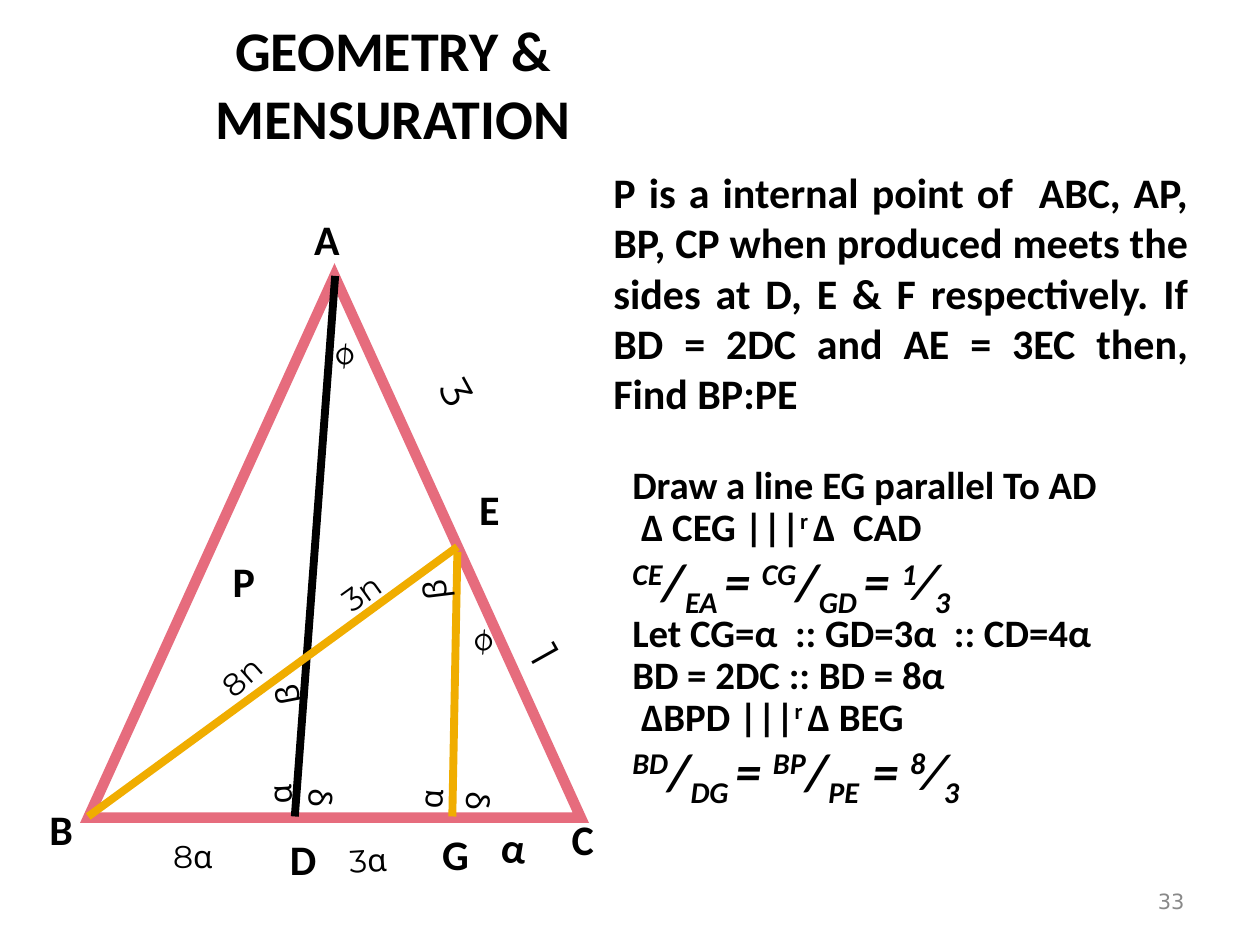
from lxml import etree
from pptx import Presentation
from pptx.dml.color import RGBColor
from pptx.enum.shapes import MSO_CONNECTOR, MSO_SHAPE
from pptx.enum.text import MSO_ANCHOR, PP_ALIGN
from pptx.oxml.ns import qn
from pptx.util import Inches, Pt

LINE, TRI = MSO_CONNECTOR.STRAIGHT, MSO_SHAPE.ISOSCELES_TRIANGLE
TOP, MID = MSO_ANCHOR.TOP, MSO_ANCHOR.MIDDLE
LEFT, MIDDLE = PP_ALIGN.LEFT, PP_ALIGN.CENTER
RIGHT, FULL = PP_ALIGN.RIGHT, PP_ALIGN.JUSTIFY

BLACK = RGBColor(0x00, 0x00, 0x00)
WHITE = RGBColor(0xFF, 0xFF, 0xFF)
GREY = RGBColor(0x89, 0x89, 0x89)
ROSE = RGBColor(0xE6, 0x6C, 0x7D)
GOLD = RGBColor(0xF0, 0xAD, 0x00)

COLS, ROWS = 100, 75
WIDE, HIGH = Inches(10), Inches(7.5)


class Board:
    """Holds the text style and the slide; lengths are grid columns and rows."""

    base = {"name": "Calibri", "size": 24, "bold": True, "italic": False,
            "color": BLACK}

    def __init__(self, deck):
        deck.slide_width, deck.slide_height = WIDE, HIGH
        self.slide = deck.slides.add_slide(deck.slide_layouts[6])

    def grid(self, *cells):
        units = (WIDE / COLS, HIGH / ROWS)
        return [round(cell * units[i % 2]) for i, cell in enumerate(cells)]

    def style(self, font, **over):
        look = {**self.base, **over}
        font.color.rgb = look.pop("color")
        look["size"] = Pt(look["size"])
        for key, value in look.items():
            setattr(font, key, value)

    def text(self, at, lines, align=MIDDLE, anchor=MID, turn=0, space=1.0,
             pad=1, **over):
        """Each line is a string, or a (parts, format) pair."""
        box = self.slide.shapes.add_textbox(*self.grid(*at))
        box.rotation = turn
        frame = box.text_frame
        side = self.grid(pad)[0]
        look = {"word_wrap": True, "vertical_anchor": anchor,
                "margin_left": side, "margin_right": side}
        for key, value in look.items():
            setattr(frame, key, value)
        for i, line in enumerate(lines):
            parts, extra = ([(line, 0)], {}) if isinstance(line, str) else line
            para = frame.add_paragraph() if i else frame.paragraphs[0]
            para.alignment, para.line_spacing = align, space
            for word, shift in parts:
                run = para.add_run()
                run.text = word
                self.style(run.font, **{**over, **extra})
                if shift:
                    run.font._element.set("baseline", str(shift * 1000))

    def line(self, start, end, color, width=4.5):
        link = self.slide.shapes.add_connector(LINE, *self.grid(*start, *end))
        link.line.color.rgb, link.line.width = color, Pt(width)
        etree.SubElement(link._element.spPr, qn("a:effectLst"))

    def shape(self, kind, at, fill, edge, width):
        form = self.slide.shapes.add_shape(kind, *self.grid(*at))
        form.shadow.inherit = False
        form.fill.solid()
        form.fill.fore_color.rgb = fill
        form.line.color.rgb, form.line.width = edge, Pt(width)
        # Sharp corners
        join = etree.SubElement(form.line._get_or_add_ln(), qn("a:miter"))
        join.set("lim", "800000")


def ratio(*pairs, slash="/"):
    """Fractions joined by equals signs; the last one is a plain number."""
    parts = []
    for i, (upper, lower) in enumerate(pairs):
        last = i == len(pairs) - 1
        parts += [("= ", 0)] if i else []
        parts += [(upper, 30), ("⁄" if last else slash, 0), (lower, -25)]
    return parts, {"size": 29.6, "italic": True}


def alike(first, second):
    """Two similar triangles."""
    return [(f" ∆{first} |||", 0), ("r ", 30), (f"∆ {second}", 0)], {}


def main():
    deck = Presentation()
    board = Board(deck)

    # Title and question
    board.text((3.1, 3.1, 56.2, 7), ["GEOMETRY & MENSURATION"], size=32, pad=3)
    board.text((47.7, 12.7, 47.6, 20.9), [
        "P is a internal point of  ABC, AP, BP, CP when produced meets the "
        "sides at D, E & F respectively. If BD = 2DC and AE = 3EC then, "
        "Find BP:PE"], FULL, TOP)

    # Solution
    board.text((49.2, 36.5, 47.7, 33.1), [
        "Draw a line EG parallel To AD",
        alike(" CEG", " CAD"),
        ratio(("CE", "EA "), ("CG", "GD "), ("1", "3")),
        "Let CG=α  :: GD=3α  :: CD=4α",
        "BD = 2DC :: BD = 8α",
        alike("BPD", "BEG"),
        ratio(("BD", "DG "), ("BP", "PE  "), ("8", "3")),
    ], LEFT, TOP, space=0.9, size=22.2)

    # Triangle and inner lines
    board.shape(TRI, (7, 21.9, 39.1, 43), WHITE, ROSE, 6)
    board.line((26.6, 21.9), (23.4, 64.8), BLACK)
    board.line((36.3, 43.4), (7, 64.8), GOLD)
    board.line((36.3, 43.8), (35.9, 64.8), GOLD)

    # Point names
    points = {"A": (23.8, 16.8), "B": (2.7, 63.6), "C": (44.1, 64.4),
              "D": (21.9, 66), "E": (36.7, 38.2), "G": (34, 65.6),
              "P": (17.2, 43.9)}
    for name, spot in points.items():
        board.text((*spot, 4.3, 4.3), [name])
    board.text((38.8, 66, 3.9, 2.4), ["α"], turn=4.2)

    # Angles and lengths: text, place, turn, size
    marks = [
        ("α", (19.4, 59.6, 5.5, 7), 266.3, 18),
        ("α", (31.4, 59.9, 5.5, 7), 273.4, 18),
        ("β", (20, 51.7, 5.5, 7), 258.9, 18),
        ("β", (31.7, 43.3, 5.5, 7), 262.9, 18),
        ("ø", (35.8, 47.8, 5.5, 7), 150.2, 18),
        ("ø", (24.8, 25.1, 5.5, 7), 150.2, 18),
        ("δ", (35.4, 60.7, 5.2, 5.7), 90, 18),
        ("δ", (23.1, 60.5, 4.8, 5.6), 90, 18),
        ("8n", (14.6, 51.4, 9.1, 4.5), 318.3, 18),
        ("3n", (24.8, 43.9, 7.7, 6.2), 324.3, 18),
        ("8α", (11.1, 64.8, 8.4, 6.2), 0, 18),
        ("3α", (25, 65.1, 8.4, 6.3), 356.3, 18),
        ("3", (33.6, 27.6, 5.5, 7), 61.5, 24),
        ("1", (40.6, 48.4, 5.5, 7), 60.8, 24),
    ]
    for mark, at, turn, size in marks:
        board.text(at, [mark], turn=turn, name="Montserrat", size=size,
                   bold=False)

    # Page number
    board.text((71.7, 69.5, 23.3, 4), ["33"], RIGHT, name="DejaVu Sans",
               size=12, bold=False, color=GREY)

    deck.save("out.pptx")


if __name__ == "__main__":
    main()
